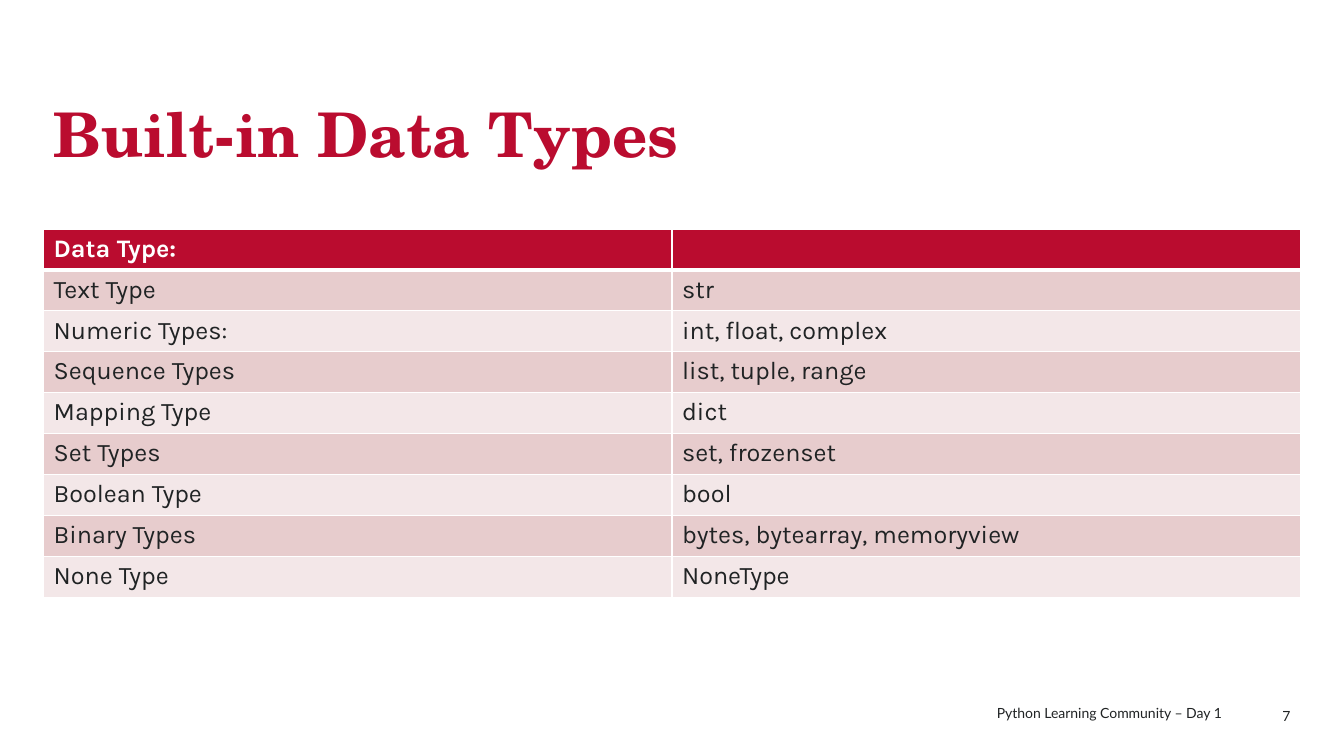
from lxml.etree import SubElement as Sub
from pptx import Presentation
from pptx.dml.color import RGBColor as RGB
from pptx.enum.text import MSO_ANCHOR as Anchor, PP_ALIGN as Align
from pptx.oxml.ns import qn
from pptx.util import Cm, Pt

RED = RGB(0xBA, 0x0C, 0x2F)
INK = RGB(0x20, 0x23, 0x24)
WHITE = RGB(0xFF, 0xFF, 0xFF)
ROSE = RGB(0xE7, 0xCC, 0xCD)
BLUSH = RGB(0xF3, 0xE7, 0xE8)

TYPES = [
    ("Data Type:", ""),
    ("Text Type", "str"),
    ("Numeric Types:", "int, float, complex"),
    ("Sequence Types", "list, tuple, range"),
    ("Mapping Type", "dict"),
    ("Set Types", "set, frozenset"),
    ("Boolean Type", "bool"),
    ("Binary Types", "bytes, bytearray, memoryview"),
    ("None Type", "NoneType"),
]


def add_run(para, text, size, face, color, bold=False):
    run = para.add_run()
    run.text = text
    font = run.font
    font.size, font.name, font.bold = Pt(size), face, bold
    font.color.rgb = color


def add_title(slide, box, text):
    title = slide.shapes.title
    title.left, title.top, title.width, title.height = box
    frame = title.text_frame
    frame.word_wrap = True
    frame.vertical_anchor = Anchor.TOP
    para = frame.paragraphs[0]
    para.alignment = Align.LEFT
    para.line_spacing = 0.9
    add_run(para, text, 44, "TeX Gyre Schola", RED, True)


def set_edges(cell, base):
    props = cell._tc.get_or_add_tcPr()
    for spot, (side, width) in enumerate(zip("LRTB", (1, 1, 1, base))):
        line = Sub(props, qn(f"a:ln{side}"), w=str(Pt(width)))
        fill = Sub(line, qn("a:solidFill"))
        Sub(fill, qn("a:srgbClr"), val=str(WHITE))
        props.insert(spot, line)


def add_grid(slide, box, rows):
    table = slide.shapes.add_table(len(rows), len(rows[0]), *box).table
    for r, row in enumerate(rows):
        head = r == 0
        shade = RED if head else ROSE if r % 2 else BLUSH
        for c, text in enumerate(row):
            cell = table.cell(r, c)
            cell.fill.solid()
            cell.fill.fore_color.rgb = shade
            set_edges(cell, 3 if head else 1)
            if text:
                para = cell.text_frame.paragraphs[0]
                add_run(para, text, 18, "Karla", WHITE if head else INK, head)


def add_note(slide, box, text):
    frame = slide.shapes.add_textbox(*box).text_frame
    frame.word_wrap = True
    frame.vertical_anchor = Anchor.MIDDLE
    para = frame.paragraphs[0]
    para.alignment = Align.RIGHT
    add_run(para, text, 10, "Lato", INK)


def main():
    deck = Presentation()
    deck.slide_width, deck.slide_height = Cm(33.87), Cm(19.05)
    slide = deck.slides.add_slide(deck.slide_layouts[5])
    left, width = Cm(1.1), Cm(31.67)
    add_note(slide, (Cm(31.4), Cm(17.53), Cm(1.37), Cm(1.02)), "7")
    add_title(slide, (left, Cm(2.49), width, Cm(2.34)), "Built-in Data Types")
    add_grid(slide, (left, Cm(5.77), width, Cm(9.28)), TYPES)
    add_note(slide, (Cm(12.52), Cm(17.5), Cm(18.52), Cm(0.94)),
             "Python Learning Community – Day 1")
    deck.save("out.pptx")


if __name__ == "__main__":
    main()
